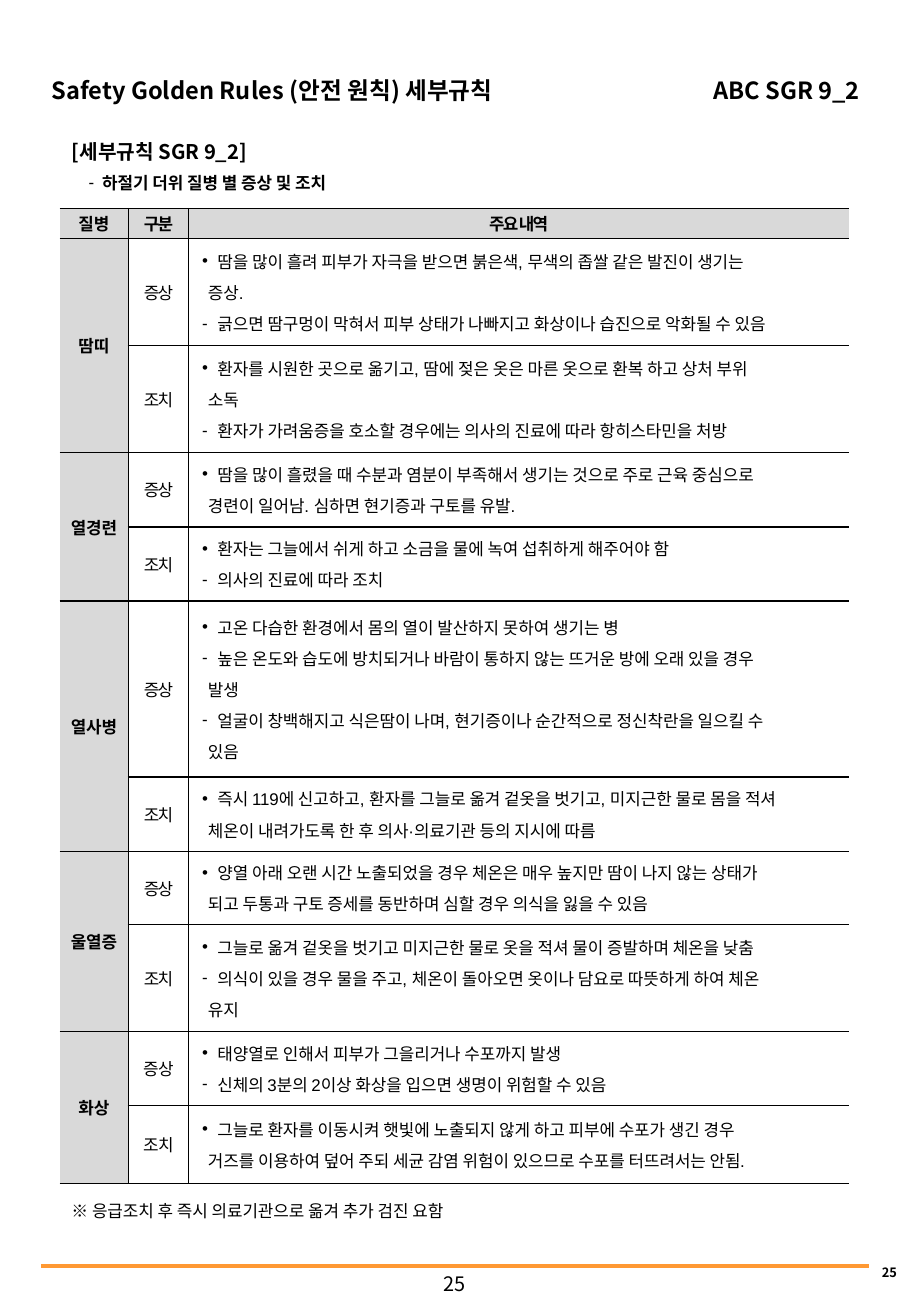
from lxml.etree import SubElement
from pptx import Presentation
from pptx.dml.color import RGBColor
from pptx.enum.shapes import MSO_CONNECTOR as Connector
from pptx.enum.text import MSO_ANCHOR as Anchor, PP_ALIGN as Align
from pptx.oxml.ns import qn
from pptx.util import Pt

KOREAN, LATIN = "Noto Sans CJK KR", "Arial"
BLACK, GREY, ORANGE = "000000", "D9D9D9", "FF9933"
COLUMNS = [40.8, 35.6, 391.6]
HEADINGS = [("질병", 0), ("구분", -1), ("주요 내역", -1)]
HEADER_HEIGHT = 17.8
DISEASES = [
    ("땀띠", -1, [
        ("증상", 63.5, ["• 땀을 많이 흘려 피부가 자극을 받으면 붉은색, 무색의 좁쌀 같은 발진이 생기는",
                      "증상.",
                      "- 긁으면 땀구멍이 막혀서 피부 상태가 나빠지고 화상이나 습진으로 악화될 수 있음"]),
        ("조치", 63.3, ["• 환자를 시원한 곳으로 옮기고, 땀에 젖은 옷은 마른 옷으로 환복 하고 상처 부위",
                      "소독",
                      "- 환자가 가려움증을 호소할 경우에는 의사의 진료에 따라 항히스타민을 처방"])]),
    ("열경련", -1, [
        ("증상", 44, ["• 땀을 많이 흘렸을 때 수분과 염분이 부족해서 생기는 것으로 주로 근육 중심으로",
                    "경련이 일어남. 심하면 현기증과 구토를 유발."]),
        ("조치", 44, ["• 환자는 그늘에서 쉬게 하고 소금을 물에 녹여 섭취하게 해주어야 함",
                    "- 의사의 진료에 따라 조치"])]),
    ("열사병", -1, [
        ("증상", 104.3, ["• 고온 다습한 환경에서 몸의 열이 발산하지 못하여 생기는 병",
                       "- 높은 온도와 습도에 방치되거나 바람이 통하지 않는 뜨거운 방에 오래 있을 경우",
                       "발생",
                       "- 얼굴이 창백해지고 식은땀이 나며, 현기증이나 순간적으로 정신착란을 일으킬 수",
                       "있음"]),
        ("조치", 44, ["• 즉시 119에 신고하고, 환자를 그늘로 옮겨 겉옷을 벗기고, 미지근한 물로 몸을 적셔",
                    "체온이 내려가도록 한 후 의사·의료기관 등의 지시에 따름"])]),
    ("울열증", -1, [
        ("증상", 43.2, ["• 양열 아래 오랜 시간 노출되었을 경우 체온은 매우 높지만 땀이 나지 않는 상태가",
                      "되고 두통과 구토 증세를 동반하며 심할 경우 의식을 잃을 수 있음"]),
        ("조치", 63.5, ["• 그늘로 옮겨 겉옷을 벗기고 미지근한 물로 옷을 적셔 물이 증발하며 체온을 낮춤",
                      "- 의식이 있을 경우 물을 주고, 체온이 돌아오면 옷이나 담요로 따뜻하게 하여 체온",
                      "유지"])]),
    ("화상", -0.2, [
        ("증상", 44, ["• 태양열로 인해서 피부가 그을리거나 수포까지 발생",
                    "- 신체의 3분의 2이상 화상을 입으면 생명이 위험할 수 있음"]),
        ("조치", 46, ["• 그늘로 환자를 이동시켜 햇빛에 노출되지 않게 하고 피부에 수포가 생긴 경우",
                    "거즈를 이용하여 덮어 주되 세균 감염 위험이 있으므로 수포를 터뜨려서는 안됨."])]),
]


def color(value):
    """Turn a hex string into a colour."""
    return RGBColor.from_string(value)


def write(paragraph, text, size=10, bold=False, font=KOREAN, spacing=0):
    """Fill a paragraph with text and format its runs."""
    paragraph.text = text
    for run in paragraph.runs:
        run.font.size, run.font.bold, run.font.name = Pt(size), bold, font
        run.font.color.rgb = color(BLACK)
        properties = run._r.get_or_add_rPr()
        SubElement(properties, qn("a:ea"), typeface=KOREAN)
        if spacing:
            properties.set("spc", str(int(spacing * 100)))


def indent(paragraph, margin, bullet=None, hanging=0):
    """Indent a paragraph and give it a hanging bullet if there is one."""
    properties = paragraph._p.get_or_add_pPr()
    properties.set("marL", str(Pt(margin)))
    properties.set("indent", str(-Pt(hanging)))
    if bullet:
        SubElement(properties, qn("a:buFont"), typeface=LATIN)
        SubElement(properties, qn("a:buChar"), char=bullet)


def add_text(slide, box, text, size, bold=False, align=Align.LEFT,
             anchor=Anchor.TOP, insets=(7.2, 3.6), wrap=True):
    """Add a text box with one paragraph and return its text frame."""
    frame = slide.shapes.add_textbox(*map(Pt, box)).text_frame
    frame.word_wrap, frame.vertical_anchor = wrap, anchor
    frame.margin_left = frame.margin_right = Pt(insets[0])
    frame.margin_top = frame.margin_bottom = Pt(insets[1])
    write(frame.paragraphs[0], text, size, bold)
    frame.paragraphs[0].alignment = align
    return frame


def add_header(slide, left, top, width, height):
    """Place the document title and the rule code on one line."""
    title_width = 356.5
    parts = [("Safety Golden Rules (안전 원칙) 세부규칙", left, title_width, Align.LEFT),
             ("ABC SGR 9_2", left + title_width, width - title_width, Align.RIGHT)]
    for text, x, part_width, align in parts:
        frame = add_text(slide, (x, top, part_width, height), text, 14, True,
                         align, Anchor.MIDDLE, (5, 2.9))
        frame.paragraphs[0].line_spacing = Pt(16)


def add_section_heading(slide, left, top, width, height):
    """Place the section name with its subject below."""
    frame = add_text(slide, (left, top, width, height), "[세부규칙 SGR 9_2]", 12, True)
    subject = frame.add_paragraph()
    subject.space_before = Pt(5.5)
    indent(subject, 18, "-", 8)
    write(subject, "하절기 더위 질병 별 증상 및 조치", bold=True)


def set_borders(cell, sides):
    """Draw black lines on the given sides of a cell and none on the others."""
    properties = cell._tc.get_or_add_tcPr()
    for position, side in enumerate("LRTB"):
        line = SubElement(properties, qn(f"a:ln{side}"), w=str(Pt(1)))
        if side in sides:
            fill = SubElement(line, qn("a:solidFill"))
            SubElement(fill, qn("a:srgbClr"), val=BLACK)
        else:
            SubElement(line, qn("a:noFill"))
        properties.insert(position, line)


def write_label(cell, text, bold, spacing):
    """Write a centred label into a cell."""
    paragraph = cell.text_frame.paragraphs[0]
    write(paragraph, text, bold=bold, font=LATIN, spacing=spacing)
    paragraph.alignment = Align.CENTER


def write_details(cell, lines):
    """Write bulleted lines and their continuations into a cell."""
    frame = cell.text_frame
    for number, line in enumerate(lines):
        paragraph = frame.add_paragraph() if number else frame.paragraphs[0]
        if number:
            paragraph.space_before = Pt(4)
        if line[0] in "•-":
            indent(paragraph, 14.6, line[0], 9)
            line = line[2:]
        else:
            indent(paragraph, 9)
        write(paragraph, line, font=LATIN)


def add_disease_table(slide, left, top):
    """Place the table of diseases with their symptoms and measures."""
    heights = [HEADER_HEIGHT] + [height for _, _, parts in DISEASES for _, height, _ in parts]
    table = slide.shapes.add_table(len(heights), len(COLUMNS), Pt(left), Pt(top),
                                   Pt(sum(COLUMNS)), Pt(sum(heights))).table
    table.first_row = table.horz_banding = False
    for column, width in zip(table.columns, COLUMNS):
        column.width = Pt(width)
    for number, (row, height) in enumerate(zip(table.rows, heights)):
        row.height = Pt(height)
        for cell, sides in zip(row.cells, ("RTB", "LRTB", "LTB")):
            cell.vertical_anchor = Anchor.MIDDLE
            cell.margin_left = cell.margin_right = Pt(2.6)
            cell.margin_top = cell.margin_bottom = Pt(2.6 if number else 1)
            if number == 0 or "L" not in sides:
                cell.fill.solid()
                cell.fill.fore_color.rgb = color(GREY)
            else:
                cell.fill.background()
            set_borders(cell, sides)
    for column, (heading, spacing) in enumerate(HEADINGS):
        write_label(table.cell(0, column), heading, True, spacing)
    row = 1
    for disease, spacing, parts in DISEASES:
        table.cell(row, 0).merge(table.cell(row + len(parts) - 1, 0))
        write_label(table.cell(row, 0), disease, True, 0)
        for label, _, lines in parts:
            write_label(table.cell(row, 1), label, False, spacing)
            write_details(table.cell(row, 2), lines)
            row += 1


def add_footer(slide, left, top, width):
    """Place the orange rule and both page numbers."""
    rule = slide.shapes.add_connector(Connector.STRAIGHT, Pt(left), Pt(top),
                                      Pt(left + width), Pt(top))
    rule.line.color.rgb, rule.line.width = color(ORANGE), Pt(2.25)
    SubElement(rule._element.spPr, qn("a:effectLst"))
    add_text(slide, (left + width - 18, top - 3, 39.6, 14), "25", 7.6, True,
             Align.RIGHT, insets=(5, 2.2))
    add_text(slide, (left + 235.5, top, 19.5, 24.5), "25", 11.8,
             insets=(2.9, 3.6), wrap=False)


def main():
    """Build the slide and save it."""
    presentation = Presentation()
    presentation.slide_width, presentation.slide_height = Pt(540), Pt(779.76)
    slide = presentation.slides.add_slide(presentation.slide_layouts[6])
    add_header(slide, 25.5, 42.8, 489.3, 22)
    add_section_heading(slide, 35.5, 79.1, 468, 43)
    add_disease_table(slide, 35.3, 123.6)
    add_text(slide, (35.3, 707.7, 468, 22), "※ 응급조치 후 즉시 의료기관으로 옮겨 추가 검진 요함", 10)
    add_footer(slide, 24.5, 750.2, 490.5)
    presentation.save("out.pptx")


if __name__ == "__main__":
    main()
